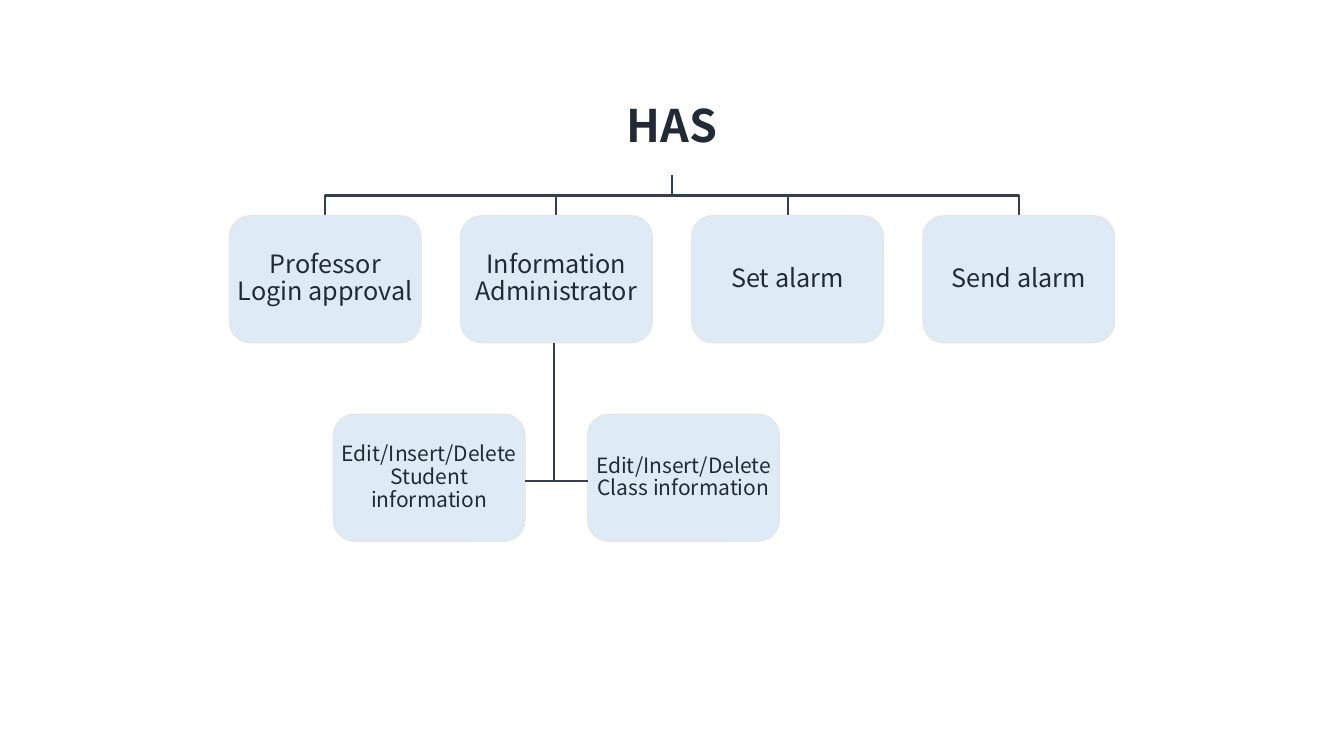
"""Build the HAS function tree slide."""
import dataclasses
import typing

import pptx
import pptx.dml.color
import pptx.enum.shapes
import pptx.enum.text
import pptx.oxml
import pptx.oxml.ns
import pptx.util

COLOURS = {"box": "DEEBF7", "edge": "E7E6E6", "line": "333F50", "text": "222A35"}
FONT = "Noto Sans CJK KR"
SLIDE_W, SLIDE_H = 13.33, 7.5
COLUMNS, COLUMN_PITCH, ROW_PITCH = 4, SLIDE_W * 0.172, 1.97
BOX_W, BOX_H, FIRST_ROW_TOP = 1.9, 1.26, 2.14
TITLE_TOP, TITLE_H = 0.79, 0.95
TREE_LINE = 1.5


@dataclasses.dataclass(frozen=True)
class Function:
    """A function of the system at a grid column and row."""
    label: str
    column: float
    row: int
    size: int


FUNCTIONS = [
    Function("Professor Login approval", 0, 0, 18),
    Function("Information Administrator", 1, 0, 18),
    Function("Edit/Insert/Delete Class information", 1.55, 1, 15),
    Function("Edit/Insert/Delete Student information", 0.45, 1, 15),
    Function("Set alarm", 2, 0, 18),
    Function("Send alarm", 3, 0, 18),
]


def inches(value: float) -> int:
    """Return whole EMU for a length in inches."""
    return int(pptx.util.Inches(value))


def rgb(role: str) -> pptx.dml.color.RGBColor:
    """Return the colour of a role."""
    return pptx.dml.color.RGBColor.from_string(COLOURS[role])


def apply(target: typing.Any, values: dict[str, typing.Any]) -> None:
    """Set every attribute named in the values."""
    for name, value in values.items():
        setattr(target, name, value)


def column_centre(column: float) -> float:
    """Return the horizontal centre of a grid column."""
    return SLIDE_W / 2 + (column - (COLUMNS - 1) / 2) * COLUMN_PITCH


def row_top(row: float) -> float:
    """Return the top of a grid row."""
    return FIRST_ROW_TOP + row * ROW_PITCH


def set_line(line: typing.Any, role: str, width: float) -> None:
    """Give a line its colour and width."""
    line.color.rgb = rgb(role)
    line.width = pptx.util.Pt(width)


def write(shape: typing.Any, label: str, size: int, margin: float, bold: bool = False) -> None:
    """Write one centred paragraph into a shape."""
    frame = shape.text_frame
    sides = ("left", "top", "right", "bottom")
    apply(frame, {f"margin_{side}": inches(margin) for side in sides})
    apply(frame, {"word_wrap": True, "vertical_anchor": pptx.enum.text.MSO_ANCHOR.MIDDLE})
    paragraph = frame.paragraphs[0]
    apply(paragraph, {"alignment": pptx.enum.text.PP_ALIGN.CENTER, "line_spacing": 0.9,
                      "space_after": pptx.util.Pt(size * 0.35)})
    run = paragraph.add_run()
    run.text = label
    apply(run.font, {"name": FONT, "size": pptx.util.Pt(size), "bold": bold})
    run.font.color.rgb = rgb("text")
    properties = run.font._element
    east_asian = pptx.oxml.parse_xml(
        f'<a:ea {pptx.oxml.ns.nsdecls("a")} typeface="{FONT}"/>')
    properties.append(east_asian)


def draw_branch(shapes: typing.Any, column: float) -> None:
    """Draw the elbow from the title down to a column."""
    root, target = SLIDE_W / 2, column_centre(column)
    start, end = TITLE_TOP + TITLE_H, row_top(0)
    middle = (start + end) / 2
    points = [(root, middle), (target, middle), (target, end)]
    builder = shapes.build_freeform(inches(root), inches(start))
    builder.add_line_segments([(inches(x), inches(y)) for x, y in points], close=False)
    branch = builder.convert_to_shape()
    branch.shadow.inherit = False
    branch.fill.background()
    set_line(branch.line, "line", TREE_LINE)


def draw_function(shapes: typing.Any, function: Function) -> None:
    """Draw a rounded box with its label."""
    left = column_centre(function.column) - BOX_W / 2
    box = shapes.add_shape(pptx.enum.shapes.MSO_SHAPE.ROUNDED_RECTANGLE, inches(left),
                           inches(row_top(function.row)), inches(BOX_W), inches(BOX_H))
    box.shadow.inherit = False
    box.fill.solid()
    box.fill.fore_color.rgb = rgb("box")
    set_line(box.line, "edge", 1)
    write(box, function.label, function.size, 0.01)


def draw_link(shapes: typing.Any, x1: float, y1: float, x2: float, y2: float) -> None:
    """Draw a straight tree line."""
    link = shapes.add_connector(pptx.enum.shapes.MSO_CONNECTOR.STRAIGHT,
                                *map(inches, (x1, y1, x2, y2)))
    set_line(link.line, "line", TREE_LINE)
    link._element.spPr.append(
        pptx.oxml.parse_xml(f'<a:effectLst {pptx.oxml.ns.nsdecls("a")}/>'))


def main() -> None:
    """Build and save the slide."""
    deck = pptx.Presentation()
    apply(deck, {"slide_width": inches(SLIDE_W), "slide_height": inches(SLIDE_H)})
    shapes = deck.slides.add_slide(deck.slide_layouts[6]).shapes

    for column in reversed(range(COLUMNS)):
        draw_branch(shapes, column)
    title = shapes.add_textbox(inches((SLIDE_W - BOX_W) / 2), inches(TITLE_TOP),
                               inches(BOX_W), inches(TITLE_H))
    write(title, "HAS", 32, 0.02, bold=True)
    for function in FUNCTIONS:
        draw_function(shapes, function)

    stem = column_centre(0.99)
    junction = row_top(1) + BOX_H / 2 + 0.03
    draw_link(shapes, stem, row_top(0) + BOX_H, stem, junction)
    draw_link(shapes, column_centre(1.55) - BOX_W / 2, junction,
              column_centre(0.45) + BOX_W / 2, junction)
    deck.save("out.pptx")


main()
